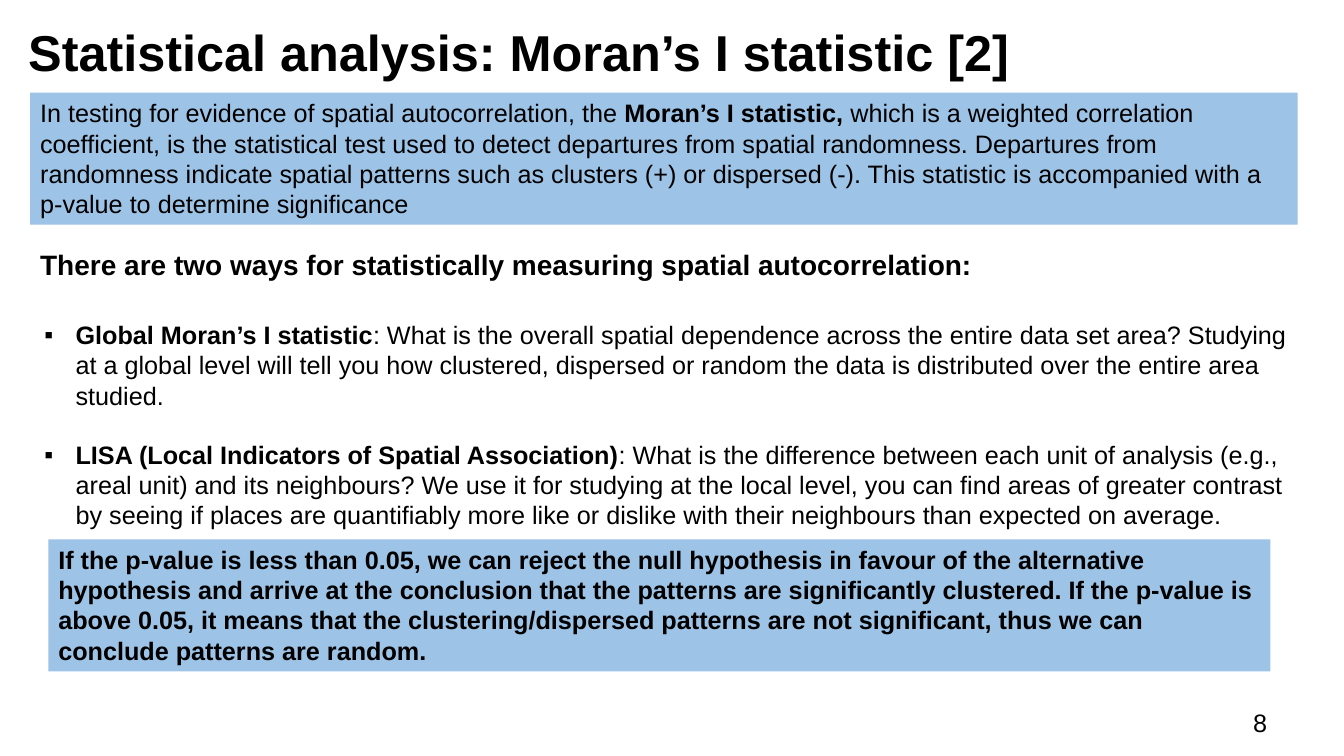
from lxml.etree import SubElement
from pptx import Presentation
from pptx.dml.color import RGBColor
from pptx.enum.shapes import MSO_SHAPE as Shape
from pptx.enum.text import MSO_ANCHOR as Anchor, MSO_AUTO_SIZE as AutoSize, PP_ALIGN as Align
from pptx.oxml.ns import qn
from pptx.util import Emu, Pt

PX = 9144  # 100 px to the inch
FONT = "Arial"
BODY_SIZE = 18
LINE_GAP = 20.7
COLORS = {"text": "000000", "panel": "9DC3E6"}

INTRO = [
    ("In testing for evidence of spatial autocorrelation, the ", False),
    ("Moran’s I statistic, ", True),
    ("which is a weighted correlation coefficient, is the statistical test used to detect "
     "departures from spatial randomness. Departures from randomness indicate spatial patterns "
     "such as clusters (+) or dispersed (-). This statistic is accompanied with a p-value to "
     "determine significance", False),
]
MEASURES = [
    [("Global Moran’s I statistic", True),
     (": What is the overall spatial dependence across the entire data set area? Studying at a "
      "global level will tell you how clustered, dispersed or random the data is distributed "
      "over the entire area studied.", False)],
    [("LISA (Local Indicators of Spatial Association)", True),
     (": What is the difference between each unit of analysis (e.g., areal unit) and its "
      "neighbours? We use it for studying at the local level, you can find areas of greater "
      "contrast by seeing if places are quantifiably more like or dislike with their neighbours "
      "than expected on average.", False)],
]
CONCLUSION = [
    ("If the p-value is less than 0.05, we can reject the null hypothesis in favour of the "
     "alternative hypothesis and arrive at the conclusion that the patterns are significantly "
     "clustered. If the p-value is above 0.05, it means that the clustering/dispersed patterns "
     "are not significant, thus we can conclude patterns are random.", True),
]


def px(*lengths):
    return [Emu(length * PX) for length in lengths]


def color(name):
    return RGBColor.from_string(COLORS[name])


def place(shape, box):
    shape.left, shape.top, shape.width, shape.height = px(*box)


def write(paragraph, parts, size=BODY_SIZE):
    """Fill a left-aligned paragraph with (text, bold) parts."""
    paragraph.alignment = Align.LEFT
    for text, bold in parts:
        run = paragraph.add_run()
        run.text = text
        run.font.name = FONT
        run.font.size = Pt(size)
        run.font.bold = bold
        run.font.color.rgb = color("text")


def set_bullet(paragraph, indent):
    properties = paragraph._p.get_or_add_pPr()
    properties.set("marL", str(indent * PX))
    properties.set("indent", str(-indent * PX))
    SubElement(properties, qn("a:buFont"), typeface=FONT)
    SubElement(properties, qn("a:buChar"), char="▪")


def fill_title(title, box, text):
    place(title, box)
    frame = title.text_frame
    frame.auto_size = AutoSize.NONE
    frame.vertical_anchor = Anchor.MIDDLE
    paragraph = frame.paragraphs[0]
    paragraph.line_spacing = 0.9
    write(paragraph, [(text, True)], 36)


def fill_list(body, box, items):
    place(body, box)
    frame = body.text_frame
    frame.auto_size = AutoSize.NONE
    for index, parts in enumerate(items):
        paragraph = frame.add_paragraph() if index else frame.paragraphs[0]
        set_bullet(paragraph, 31)
        paragraph.space_before = Pt(LINE_GAP if index else 0)
        write(paragraph, parts)


def add_panel(slide, box, parts):
    panel = slide.shapes.add_shape(Shape.RECTANGLE, *px(*box))
    panel.shadow.inherit = False
    panel.fill.solid()
    panel.fill.fore_color.rgb = color("panel")
    panel.line.fill.background()
    frame = panel.text_frame
    frame.word_wrap = True
    frame.vertical_anchor = Anchor.TOP
    write(frame.paragraphs[0], parts)


def add_label(slide, box, text, size=BODY_SIZE, bold=False):
    frame = slide.shapes.add_textbox(*px(*box)).text_frame
    frame.word_wrap = True
    write(frame.paragraphs[0], [(text, bold)], size)


def main():
    presentation = Presentation()
    presentation.slide_width, presentation.slide_height = px(1333, 750)
    slide = presentation.slides.add_slide(presentation.slide_layouts[1])

    fill_title(slide.shapes.title, (18, 19, 1273, 71),
               "Statistical analysis: Moran’s I statistic [2]")
    add_panel(slide, (30, 92, 1257, 131), INTRO)
    add_label(slide, (30, 241, 1000, 44),
              "There are two ways for statistically measuring spatial autocorrelation:", 20, True)
    fill_list(slide.placeholders[1], (34, 312, 1257, 192), MEASURES)
    add_panel(slide, (48, 535, 1212, 131), CONCLUSION)
    add_label(slide, (1233, 697, 59, 16), "8")

    presentation.save("out.pptx")


if __name__ == "__main__":
    main()
